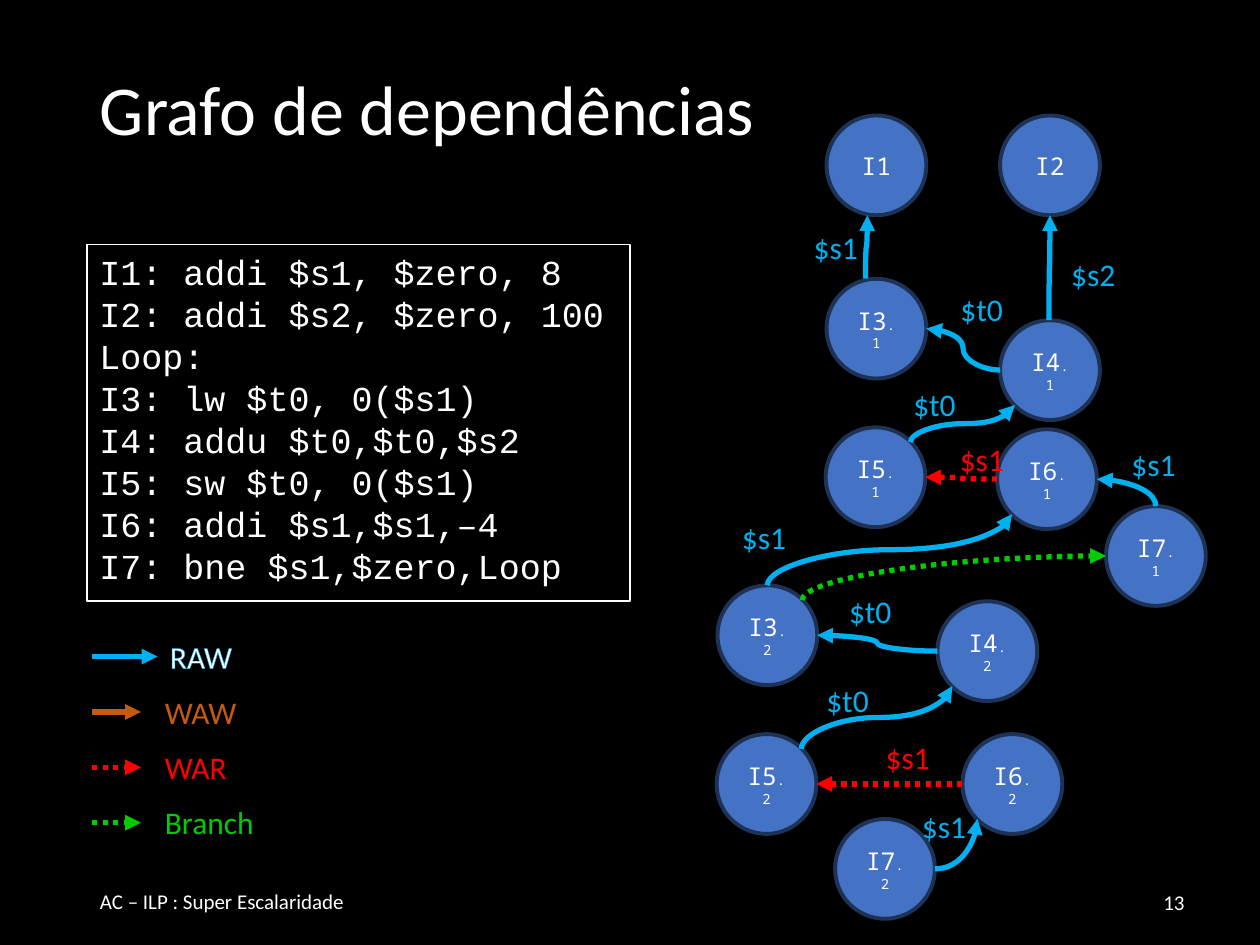
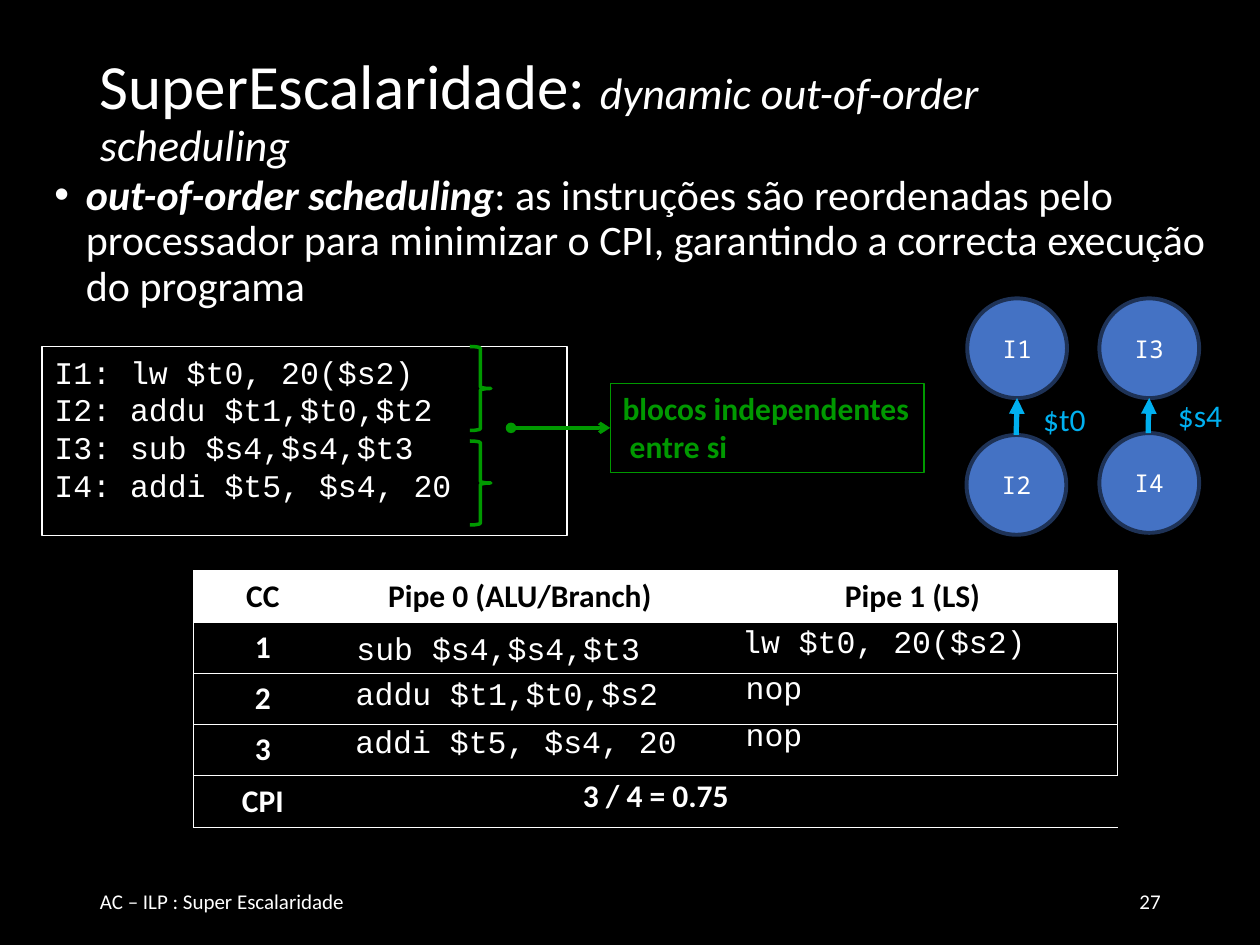
import pptx
import pptx.dml.color
import pptx.enum.dml
import pptx.enum.shapes
import pptx.enum.text
import pptx.oxml
import pptx.oxml.ns
import pptx.util
from lxml import etree

Pt = pptx.util.Pt
RGBColor = pptx.dml.color.RGBColor
SHAPE = pptx.enum.shapes.MSO_SHAPE
LINK = pptx.enum.shapes.MSO_CONNECTOR
ALIGN = pptx.enum.text.PP_ALIGN
ANCHOR = pptx.enum.text.MSO_ANCHOR
qn = pptx.oxml.ns.qn

BLACK = RGBColor(0x00, 0x00, 0x00)
WHITE = RGBColor(0xFF, 0xFF, 0xFF)
NODE_FILL = RGBColor(0x44, 0x72, 0xC4)
NODE_LINE = RGBColor(0x1E, 0x32, 0x56)
RAW = RGBColor(0x00, 0xB0, 0xF0)
WAW = RGBColor(0xC5, 0x5A, 0x11)
WAR = RGBColor(0xFF, 0x00, 0x00)
BRANCH = RGBColor(0x00, 0xCC, 0x00)
BLOCK = RGBColor(0x00, 0x99, 0x00)
DOTTED = (WAR, BRANCH)

BODY, CODE, MONO = "Calibri", "Courier New", "Noto Sans Mono"
NODE = 57
TOP, LEFT, BOTTOM, RIGHT = (0.5, 0), (0, 0.5), (0.5, 1), (1, 0.5)
TOP_RIGHT, BOTTOM_LEFT = (0.85, 0.15), (0.15, 0.85)


def add_xml(parent, tag, **attrs):
    return etree.SubElement(parent, qn(tag), attrs)


def add_solid(parent, color):
    add_xml(add_xml(parent, "a:solidFill"), "a:srgbClr", val=str(color))


class Deck:
    def __init__(self):
        self.prs = pptx.Presentation()
        self.prs.slide_width, self.prs.slide_height = Pt(720), Pt(540)
        self.s = None
        self.nodes = {}

    def slide(self, title, number, number_at):
        self.s = self.prs.slides.add_slide(self.prs.slide_layouts[6])
        self.nodes = {}
        self.s.background.fill.solid()
        self.s.background.fill.fore_color.rgb = BLACK
        tf = self.text((50, 28.8, 620.6, 71.3), [title], anchor=ANCHOR.MIDDLE)
        tf.paragraphs[0].line_spacing = 0.9
        self.text((50, 500.4, 162, 28.8), ["AC – ILP : Super Escalaridade"],
                  size=12, anchor=ANCHOR.MIDDLE)
        self.text((*number_at, 162, 28.8), [number], size=12,
                  align=ALIGN.RIGHT, anchor=ANCHOR.MIDDLE)

    def put_text(self, tf, paras, size=18, font=BODY, color=WHITE, bold=False,
                 align=ALIGN.LEFT, anchor=ANCHOR.TOP, wrap=True):
        tf.word_wrap = wrap
        tf.vertical_anchor = anchor
        if not wrap:
            tf.auto_size = pptx.enum.text.MSO_AUTO_SIZE.SHAPE_TO_FIT_TEXT
        for i, runs in enumerate(paras):
            p = tf.add_paragraph() if i else tf.paragraphs[0]
            p.alignment = align
            for run in [(runs, {})] if isinstance(runs, str) else runs:
                r = p.add_run()
                r.text, own = run
                r.font.name = font
                r.font.size = Pt(own.get("size", size))
                r.font.bold = own.get("bold", bold)
                r.font.italic = own.get("italic", False)
                r.font.color.rgb = color
        return tf

    def text(self, box, paras, **style):
        sp = self.s.shapes.add_textbox(*map(Pt, box))
        return self.put_text(sp.text_frame, paras, **style)

    def label(self, text, x, y, w, h=29, **style):
        return self.text((x, y, w, h), [text], wrap=False, **style)

    def bullet(self, box, runs, size):
        tf = self.text(box, [runs], size=size)
        p = tf.paragraphs[0]
        p.line_spacing = 0.9
        pPr = p._p.get_or_add_pPr()
        pPr.set("marL", str(Pt(18)))
        pPr.set("indent", str(Pt(-18)))
        add_xml(pPr, "a:buFont", typeface="Arial")
        add_xml(pPr, "a:buChar", char="•")

    def shape(self, kind, box, line, width, fill=None):
        sp = self.s.shapes.add_shape(kind, *map(Pt, box))
        sp.shadow.inherit = False
        if fill is None:
            sp.fill.background()
        else:
            sp.fill.solid()
            sp.fill.fore_color.rgb = fill
        sp.line.color.rgb = line
        sp.line.width = Pt(width)
        return sp

    def box(self, box, paras, line=WHITE, **style):
        sp = self.shape(SHAPE.RECTANGLE, box, line, 0.75)
        self.put_text(sp.text_frame, paras, **style)
        return sp

    def node(self, name, x, y):
        sp = self.shape(SHAPE.OVAL, (x, y, NODE, NODE), NODE_LINE, 2.25, NODE_FILL)
        main, dot, turn = name.partition(".")
        runs = [(main, {})] + ([(dot + turn, {"size": 8})] if turn else [])
        self.put_text(sp.text_frame, [runs], size=14, font=MONO,
                      align=ALIGN.CENTER, anchor=ANCHOR.MIDDLE)
        self.nodes[name] = x, y

    def site(self, name, at):
        return [v + NODE * f for v, f in zip(self.nodes[name], at)]

    def connector(self, kind, ends, color, width, tail, head=None):
        c = self.s.shapes.add_connector(kind, *map(Pt, ends))
        c.line.color.rgb = color
        c.line.width = Pt(width)
        if color in DOTTED:
            c.line.dash_style = pptx.enum.dml.MSO_LINE.ROUND_DOT
        spPr = c.element.spPr
        ln = spPr.find(qn("a:ln"))
        if head:
            add_xml(ln, "a:headEnd", type=head)
        add_xml(ln, "a:tailEnd", type=tail)
        add_xml(spPr, "a:effectLst")
        return c

    def curve(self, x1, y1, x2, y2, color, upright=False, quarter=False):
        if upright:
            mx, my, dx, dy = (x1 + x2) / 2, (y1 + y2) / 2, (x2 - x1) / 2, (y2 - y1) / 2
            x1, y1, x2, y2 = mx - dy, my + dx, mx + dy, my - dx
        c = self.connector(LINK.CURVE, (x1, y1, x2, y2), color, 3, "triangle")
        spPr = c.element.spPr
        if upright:
            spPr.find(qn("a:xfrm")).set("rot", "5400000")
        if quarter:
            spPr.find(qn("a:prstGeom")).set("prst", "curvedConnector2")

    def edge(self, start, start_at, end, end_at, color=RAW, label=None):
        upright = start_at[1] < 0.5
        quarter = upright == (end_at in (LEFT, RIGHT))
        self.curve(*self.site(start, start_at), *self.site(end, end_at),
                   color, upright, quarter)
        if label:
            text, x, y = label
            self.label(text, x, y, 39 if text == "$t0" else 40.3, color=color)

    def table(self, box, widths, rows):
        t = self.s.shapes.add_table(len(rows), len(widths), *map(Pt, box)).table
        t.first_row = t.horz_banding = False
        for col, w in zip(t.columns, widths):
            col.width = Pt(w)
        last = len(widths) - 1
        for i, row in enumerate(rows):
            t.rows[i].height = Pt(box[3] / len(rows))
            for j, text in enumerate(row):
                cell = t.cell(i, j)
                tcPr = cell._tc.get_or_add_tcPr()
                for side, drawn in zip("LRTB", (j == 0, j == last, True, True)):
                    ln = add_xml(tcPr, "a:ln" + side, w=str(Pt(0.5)))
                    if drawn:
                        add_solid(ln, WHITE)
                    else:
                        add_xml(ln, "a:noFill")
                cell.fill.solid()
                cell.fill.fore_color.rgb = BLACK if i else WHITE
                if text:
                    self.put_text(cell.text_frame, [text], bold=True, align=ALIGN.CENTER,
                                  color=WHITE if i else BLACK)
        return t


def dependency_graph(d):
    d.slide([("Grafo de dependências", {"size": 40})], "13", (522, 501))
    d.box((49.7, 139.7, 310.3, 203.8), [
        "I1: addi $s1, $zero, 8", "I2: addi $s2, $zero, 100", "Loop:",
        "I3: lw $t0, 0($s1)", "I4: addu $t0,$t0,$s2", "I5: sw $t0, 0($s1)",
        "I6: addi $s1,$s1,–4", "I7: bne $s1,$zero,Loop"], size=20, font=CODE)

    legend = [("RAW", RAW, 50.4), ("WAW", WAW, 55.4),
              ("WAR", WAR, 50.4), ("Branch", BRANCH, 66.2)]
    for i, (name, color, w) in enumerate(legend):
        y = 375.2 + 31.65 * i
        first = i == 0
        d.curve(52.6, y, 90 if first else 80.6, y, color)
        tf = d.label(name, 90 if first else 87.1, y - 14.6, w,
                     color=WHITE if first else color)
        if first:
            ln = etree.Element(qn("a:ln"), w=str(Pt(0.75)))
            add_solid(ln, color)
            tf.paragraphs[0].runs[0].font._element.insert(0, ln)

    for name, x, y in [
            ("I1", 472.3, 66), ("I2", 571.5, 66),
            ("I3.1", 472.3, 159.3), ("I4.1", 571.5, 183),
            ("I5.1", 471.8, 244.2), ("I6.1", 569.8, 245.3), ("I7.1", 632, 289.2),
            ("I3.2", 410, 334.5), ("I4.2", 535.7, 343.6),
            ("I5.2", 409.5, 419.5), ("I6.2", 550, 419.5), ("I7.2", 477.2, 468)]:
        d.node(name, x, y)

    d.edge("I3.1", (0.39, 0), "I1", (0.41, 1), label=("$s1", 457.9, 126.7))
    d.edge("I4.1", LEFT, "I3.1", RIGHT, label=("$t0", 541.8, 162.2))
    d.edge("I4.1", (0.49, 0), "I2", BOTTOM, label=("$s2", 605, 142))
    d.edge("I5.1", TOP_RIGHT, "I4.1", BOTTOM_LEFT, label=("$t0", 514.8, 216.4))
    d.edge("I6.1", LEFT, "I5.1", RIGHT, WAR, ("$s1", 541.4, 248))
    d.edge("I7.1", TOP, "I6.1", RIGHT, label=("$s1", 639.4, 251))
    d.edge("I4.2", LEFT, "I3.2", RIGHT, label=("$t0", 478.1, 334.8))
    d.edge("I5.2", TOP_RIGHT, "I4.2", BOTTOM_LEFT, label=("$t0", 465.1, 385.5))
    d.edge("I6.2", LEFT, "I5.2", RIGHT, WAR, ("$s1", 499, 417.9))
    d.edge("I3.2", TOP, "I6.1", BOTTOM_LEFT, label=("$s1", 416.9, 292.6))
    d.edge("I3.2", TOP_RIGHT, "I7.1", LEFT, BRANCH)
    d.curve(*d.site("I7.2", RIGHT), *d.site("I6.2", BOTTOM_LEFT), RAW, quarter=True)
    d.label("$s1", 519.8, 457.4, 40.3, color=RAW)


def out_of_order(d):
    d.slide([("SuperEscalaridade: ", {"size": 36}),
             ("dynamic out-of-order scheduling", {"size": 25.2, "italic": True})],
            "27", (508.3, 500.4))
    d.bullet((24, 96, 672, 96), [
        ("out-of-order scheduling", {"bold": True, "italic": True}),
        (": as instruções são reordenadas pelo processador para minimizar o CPI, "
         "garantindo a correcta execução do programa", {})], 24)
    d.box((24, 198, 300, 108), [
        "I1: lw $t0, 20($s2)", "I2: addu $t1,$t0,$t2",
        "I3: sub $s4,$s4,$t3", "I4: addi $t5, $s4, 20"], font=CODE)

    t = d.table((110.6, 326.2, 528, 146.5), (79.2, 214.6, 234.2), [
        ("CC", "Pipe 0 (ALU/Branch)", "Pipe 1 (LS)"),
        ("1", "", ""), ("2", "", ""), ("3", "", ""), ("CPI", "", "")])
    t.cell(4, 1).merge(t.cell(4, 2))
    for text, x, y, w in [
            ("lw $t0, 20($s2)", 417, 352.1, 196.6), ("sub $s4,$s4,$t3", 196.6, 355.9, 196.6),
            ("addu $t1,$t0,$s2", 196.2, 381.8, 208), ("nop", 419, 378, 51),
            ("nop", 419, 405, 51), ("addi $t5, $s4, 20", 196, 409, 220)]:
        d.label(text, x, y, w, 31.7, font=CODE)
    d.label("3 / 4 = 0.75", 316.8, 439.9, 115.9, 31.7, bold=True, align=ALIGN.CENTER)

    for name, x, y in [("I1", 552.7, 170.5), ("I3", 628.2, 170.5),
                       ("I2", 552.3, 248.6), ("I4", 628.2, 247.5)]:
        d.node(name, x, y)
    d.edge("I2", TOP, "I1", BOTTOM, label=("$t0", 589, 224.8))
    d.edge("I4", (0.49, 0), "I3", BOTTOM, label=("$s4", 666, 222.8))

    for y in (198, 252):
        d.shape(SHAPE.RIGHT_BRACE, (268.5, y, 12, 48), BLOCK, 2)
    blocks = d.box((348.7, 219, 179.3, 51), ["blocos independentes", " entre si"],
                   BLOCK, color=BLOCK, bold=True, wrap=False)
    c = d.connector(LINK.STRAIGHT, (292, 244.5, 348.7, 244.5), BLOCK, 2, "arrow", "oval")
    c.end_connect(blocks, 1)


def main():
    d = Deck()
    dependency_graph(d)
    out_of_order(d)
    d.prs.save("out.pptx")


if __name__ == "__main__":
    main()
